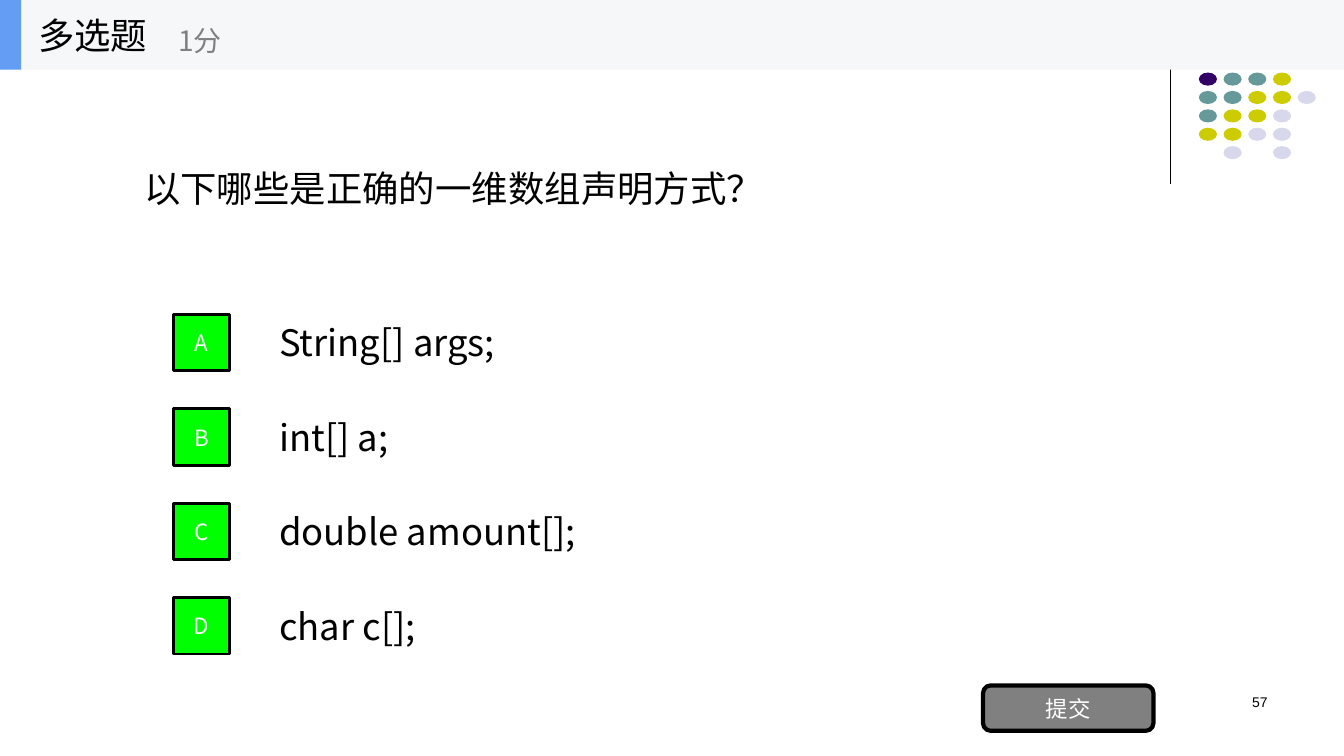
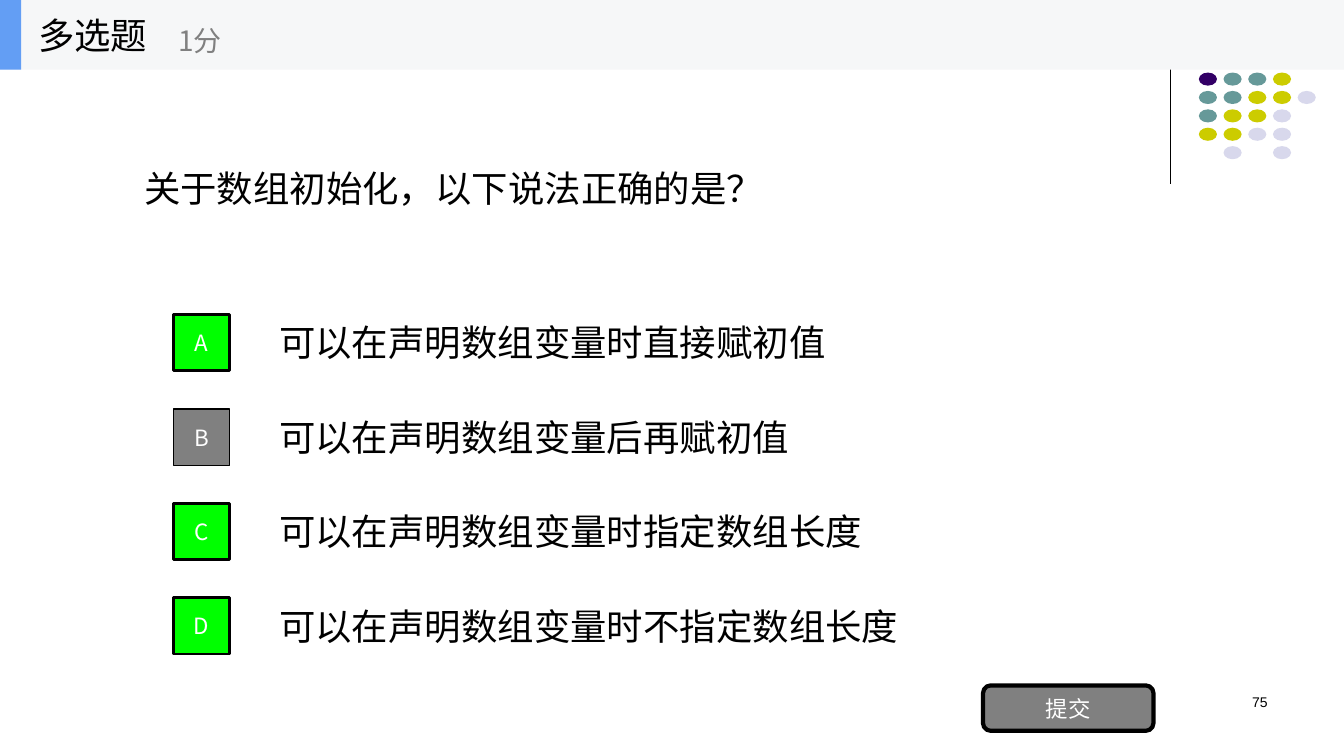
from lxml import etree
from pptx import Presentation
from pptx.dml.color import RGBColor
from pptx.enum.shapes import MSO_CONNECTOR, MSO_SHAPE
from pptx.enum.text import MSO_ANCHOR, PP_ALIGN
from pptx.oxml.ns import qn
from pptx.util import Inches, Pt

COLORS = {
    "black": "000000", "white": "FFFFFF", "gray": "808080", "green": "00FF00",
    "band": "F6F7F8", "accent": "639EF4",
    "purple": "330066", "teal": "669999", "yellow": "CCCC00", "lilac": "D8D8EC",
}
FONT = "Noto Sans CJK SC"
DOT_COLORS = {"P": "purple", "T": "teal", "Y": "yellow", "L": "lilac"}
DOT_ROWS = ["PTTY", "TTYYL", "TYYL", "YYLL", " L L"]
DOT_STEP_X = 0.98 / 4
DOT_STEP_Y = 0.73 / 4
OPTION_STEP = 2.81 / 3

QUESTIONS = [
    {
        "number": "57",
        "question": "以下哪些是正确的一维数组声明方式？",
        "options": [
            ("A", "String[] args;", 2.49, True),
            ("B", "int[] a;", 1.39, True),
            ("C", "double amount[];", 3.3, True),
            ("D", "char c[];", 1.66, True),
        ],
    },
    {
        "number": "75",
        "question": "关于数组初始化，以下说法正确的是？",
        "options": [
            ("A", "可以在声明数组变量时直接赋初值", 5.72, True),
            ("B", "可以在声明数组变量后再赋初值", 5.36, False),
            ("C", "可以在声明数组变量时指定数组长度", 6.09, True),
            ("D", "可以在声明数组变量时不指定数组长度", 6.45, True),
        ],
    },
]


def add_label(slide, text, box, size, color="black", align=PP_ALIGN.LEFT,
              anchor=MSO_ANCHOR.MIDDLE, font=FONT, shape=None):
    if shape is None:
        shape = slide.shapes.add_textbox(*[Inches(length) for length in box])
    frame = shape.text_frame
    frame.word_wrap = True
    frame.vertical_anchor = anchor
    frame.text = text
    paragraph = frame.paragraphs[0]
    paragraph.alignment = align
    run = paragraph.runs[0]
    run.font.size = Pt(size)
    run.font.name = font
    run.font.color.rgb = RGBColor.from_string(COLORS[color])
    east_asian = etree.SubElement(run.font._element, qn("a:ea"))
    east_asian.set("typeface", font)


def add_block(slide, kind, box, fill, line_width=0, text=None):
    shape = slide.shapes.add_shape(kind, *[Inches(length) for length in box])
    shape.shadow.inherit = False
    shape.fill.solid()
    shape.fill.fore_color.rgb = RGBColor.from_string(COLORS[fill])
    if line_width:
        shape.line.color.rgb = RGBColor.from_string(COLORS["black"])
        shape.line.width = Pt(line_width)
    else:
        shape.line.fill.background()
    if text:
        add_label(slide, text, box, 16, "white", PP_ALIGN.CENTER, shape=shape)


presentation = Presentation()
presentation.slide_width = Inches(13.33)
presentation.slide_height = Inches(7.5)

for content in QUESTIONS:
    slide = presentation.slides.add_slide(presentation.slide_layouts[6])

    divider = slide.shapes.add_connector(
        MSO_CONNECTOR.STRAIGHT, Inches(11.61), Inches(0.17), Inches(11.61), Inches(1.83))
    divider.line.color.rgb = RGBColor.from_string(COLORS["black"])
    divider.line.width = Pt(0.75)
    etree.SubElement(divider._element.spPr, qn("a:effectLst"))

    for row, codes in enumerate(DOT_ROWS):
        for column, code in enumerate(codes):
            if code in DOT_COLORS:
                dot_box = (11.89 + column * DOT_STEP_X, 0.72 + row * DOT_STEP_Y, 0.18, 0.13)
                add_block(slide, MSO_SHAPE.OVAL, dot_box, DOT_COLORS[code])

    add_label(slide, content["number"], (9.56, 6.83, 3.11, 0.5), 10,
              align=PP_ALIGN.RIGHT, anchor=MSO_ANCHOR.TOP, font="Arial")
    add_label(slide, content["question"], (1.33, 1.6, 6.45, 0.53), 26)

    for index, (letter, answer, width, correct) in enumerate(content["options"]):
        top = 3.12 + index * OPTION_STEP
        add_label(slide, answer, (2.67, top + 0.01, width, 0.53), 26)
        add_block(slide, MSO_SHAPE.RECTANGLE, (1.72, top, 0.56, 0.56),
                  "green" if correct else "gray", 2 if correct else 1, letter)

    add_block(slide, MSO_SHAPE.ROUNDED_RECTANGLE, (9.75, 6.8, 1.69, 0.45), "gray", 3, "提交")

    add_block(slide, MSO_SHAPE.RECTANGLE, (0, 0, 13.33, 0.69), "band")
    add_block(slide, MSO_SHAPE.RECTANGLE, (0, 0, 0.21, 0.69), "accent")
    add_label(slide, "多选题", (0.28, 0, 2.08, 0.69), 26)
    add_label(slide, "1分", (1.67, 0.12, 2.5, 0.56), 20, "gray")

presentation.save("out.pptx")
